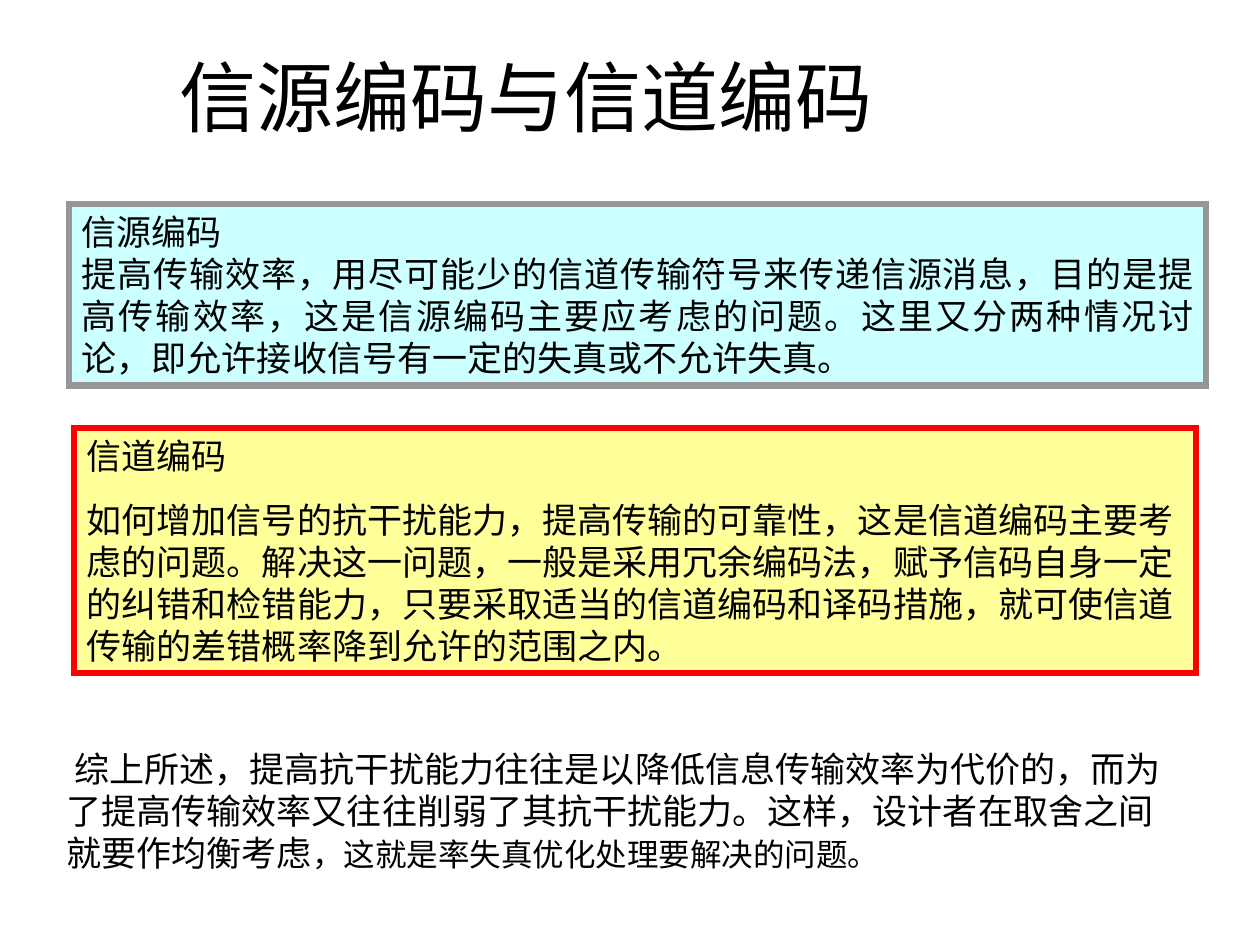
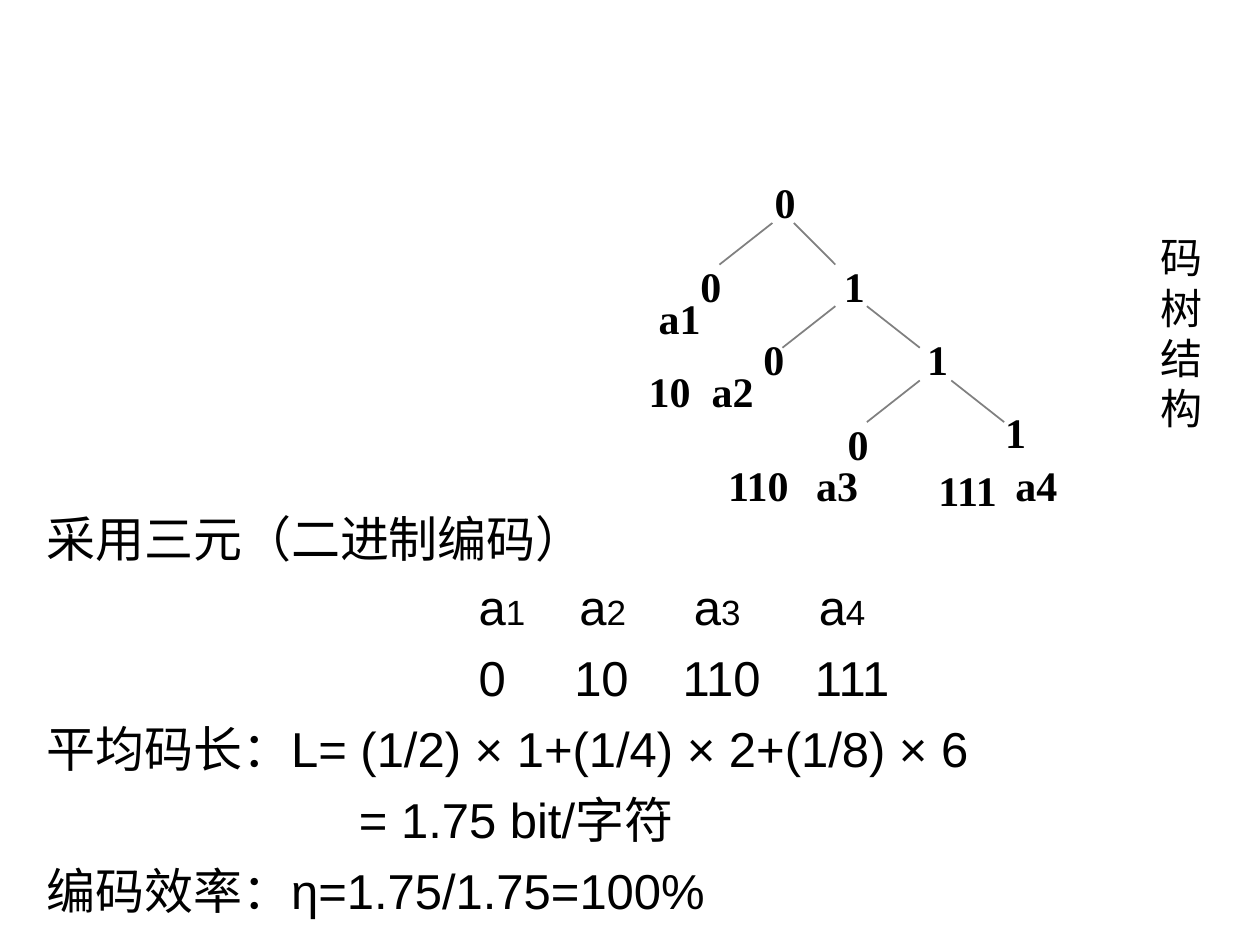
from dataclasses import dataclass
from typing import NamedTuple, Optional

from lxml import etree
from pptx import Presentation
from pptx import util as u
from pptx.dml.color import RGBColor
from pptx.enum import shapes, text
from pptx.oxml.ns import qn


@dataclass(frozen=True)
class Theme:
    ink: str = "000000"
    source_fill: str = "CCFFFF"
    source_line: str = "969696"
    channel_fill: str = "FFFF99"
    channel_line: str = "FF0000"
    branch: str = "808080"
    sans: str = "Arial"
    serif: str = "Times New Roman"
    chinese: str = "Noto Sans CJK SC"
    title: int = 44
    formula: int = 28
    label: int = 24
    body: int = 20
    small: int = 18
    border: float = 3.5
    hairline: float = 1


THEME = Theme()


class Run(NamedTuple):
    words: str
    size: float
    font: str = THEME.serif
    bold: bool = False


class Para(NamedTuple):
    runs: list[Run]
    before: float = 0
    align: Optional[text.PP_ALIGN] = None
    left: float = 0
    first: float = 0


class Box(NamedTuple):
    left: float
    top: float
    width: float
    height: float


class Panel(NamedTuple):
    box: Box
    fill: str
    line: str
    paras: list[Para]


class Label(NamedTuple):
    words: str
    left: float
    top: float


class Branch(NamedTuple):
    left: float
    top: float
    run: float


class Code(NamedTuple):
    word: str
    symbol_left: float
    word_left: float


def colour(value: str) -> RGBColor:
    return RGBColor.from_string(value)


def write(frame, paras: list[Para], wrap: bool = True) -> None:
    frame.word_wrap = wrap
    frame.vertical_anchor = text.MSO_ANCHOR.TOP
    for i, para in enumerate(paras):
        p = frame.paragraphs[0] if i == 0 else frame.add_paragraph()
        p.alignment = para.align or text.PP_ALIGN.LEFT
        p.space_before = u.Pt(para.before)
        props = p._p.get_or_add_pPr()
        props.set("marL", str(u.Inches(para.left)))
        props.set("indent", str(u.Inches(para.first)))
        props.set("hangingPunct", "0")
        for part in para.runs:
            run = p.add_run()
            run.text = part.words
            run.font.size = u.Pt(part.size)
            run.font.bold = part.bold
            run.font.name = part.font
            run.font.color.rgb = colour(THEME.ink)
            etree.SubElement(run._r.rPr, qn("a:ea"), typeface=THEME.chinese)


def add_text(slide, box: Box, paras: list[Para], wrap: bool = True):
    area = slide.shapes.add_textbox(*map(u.Inches, box))
    write(area.text_frame, paras, wrap)
    return area.text_frame


def add_panel(slide, panel: Panel) -> None:
    rect = slide.shapes.add_shape(
        shapes.MSO_SHAPE.RECTANGLE, *map(u.Inches, panel.box))
    rect.shadow.inherit = False
    rect.fill.solid()
    rect.fill.fore_color.rgb = colour(panel.fill)
    rect.line.color.rgb = colour(panel.line)
    rect.line.width = u.Pt(THEME.border)
    # Square corners on the border
    etree.SubElement(rect._element.spPr.find(qn("a:ln")), qn("a:miter"), lim="800000")
    write(rect.text_frame, panel.paras)


def add_label(slide, label: Label) -> None:
    width = 0.19 + 0.17 * len(label.words)
    add_text(slide, Box(label.left, label.top, width, 0.5),
             [Para([Run(label.words, THEME.label, bold=True)])], wrap=False)


def add_branch(slide, branch: Branch) -> None:
    ends = (branch.left, branch.top, branch.left + branch.run, branch.top + 0.33)
    line = slide.shapes.add_connector(
        shapes.MSO_CONNECTOR.STRAIGHT, *map(u.Inches, ends))
    line.line.color.rgb = colour(THEME.branch)
    line.line.width = u.Pt(THEME.hairline)
    etree.SubElement(line._element.spPr, qn("a:effectLst"))


# Source and channel coding
JUSTIFY = text.PP_ALIGN.JUSTIFY
PANELS = [
    Panel(Box(0.55, 1.62, 9.02, 1.44), THEME.source_fill, THEME.source_line, [
        Para([Run("信源编码", THEME.body)], align=JUSTIFY),
        Para([Run("提高传输效率，用尽可能少的信道传输符号来传递信源消息，"
                  "目的是提高传输效率，这是信源编码主要应考虑的问题。"
                  "这里又分两种情况讨论，即允许接收信号有一定的失真或不允许失真。",
                  THEME.body)], align=JUSTIFY),
    ]),
    Panel(Box(0.59, 3.4, 8.9, 1.94), THEME.channel_fill, THEME.channel_line, [
        Para([Run("信道编码", THEME.body, THEME.chinese)]),
        Para([Run("如何增加信号的抗干扰能力，提高传输的可靠性，这是信道编码主要考虑的问题。"
                  "解决这一问题，一般是采用冗余编码法，赋予信码自身一定的纠错和检错能力，"
                  "只要采取适当的信道编码和译码措施，就可使信道传输的差错概率降到允许的范围之内。",
                  THEME.body, THEME.chinese)], before=12.5),
    ]),
]
SUMMARY = Para([
    Run("综上所述，提高抗干扰能力往往是以降低信息传输效率为代价的，"
        "而为了提高传输效率又往往削弱了其抗干扰能力。"
        "这样，设计者在取舍之间就要作均衡考虑", THEME.body, THEME.chinese),
    Run("，这就是率失真优化处理要解决的问题。", THEME.small),
], first=0.06)


def build_comparison(slide) -> None:
    title = add_text(slide, Box(0.2, 0.21, 7.95, 1.1), [
        Para([Run("信源编码与信道编码", THEME.title, THEME.sans)],
             align=text.PP_ALIGN.CENTER)])
    title.vertical_anchor = text.MSO_ANCHOR.MIDDLE
    for panel in PANELS:
        add_panel(slide, panel)
    add_text(slide, Box(0.43, 5.88, 9.08, 1.1), [SUMMARY])


# Code tree
TREE_LABELS = [
    Label("0", 6.05, 1.35),
    Label("0", 5.46, 2.02), Label("1", 6.6, 2.02),
    Label("0", 5.96, 2.6), Label("1", 7.26, 2.6),
    Label("0", 6.63, 3.27), Label("1", 7.88, 3.18),
    Label("a1", 5.13, 2.27),
    Label("10", 5.05, 2.85), Label("a2", 5.55, 2.85),
    Label("110", 5.68, 3.6), Label("a3", 6.38, 3.6),
    Label("111", 7.35, 3.64), Label("a4", 7.96, 3.6),
]
BRANCHES = [
    Branch(6.13, 1.77, -0.42), Branch(6.3, 1.77, 0.33),
    Branch(6.63, 2.43, -0.42), Branch(6.88, 2.43, 0.42),
    Branch(7.3, 3.02, -0.42), Branch(7.55, 3.02, 0.42),
]

# Symbols above their codewords
CODES = [
    Code("0", 3.7, 3.7),
    Code("10", 4.5, 4.46),
    Code("110", 5.41, 5.32),
    Code("111", 6.4, 6.37),
]
SYMBOL_TOP, WORD_TOP = 4.53, 5.09


def formula(words: str, before: float = 0, left: float = 0) -> Para:
    return Para([Run(words, THEME.formula, THEME.sans)], before, left=left)


def add_code(slide, number: int, code: Code) -> None:
    symbol = Para([Run("a", THEME.formula, THEME.sans),
                   Run(str(number), THEME.body, THEME.sans)])
    for left, top, para in ((code.symbol_left, SYMBOL_TOP, symbol),
                            (code.word_left, WORD_TOP, formula(code.word))):
        add_text(slide, Box(left, top, 0.9, 0.57), [para])


def build_code_tree(slide) -> None:
    add_text(slide, Box(0.27, 3.99, 8.58, 0.57), [formula("采用三元（二进制编码）")])
    for number, code in enumerate(CODES, start=1):
        add_code(slide, number, code)
    add_text(slide, Box(0.27, 5.65, 8.58, 1.77), [
        formula("平均码长：L= (1/2) × 1+(1/4) × 2+(1/8) × 6"),
        formula("= 1.75 bit/字符", before=7, left=2.48),
        formula("编码效率：η=1.75/1.75=100%", before=7),
    ])
    for branch in BRANCHES:
        add_branch(slide, branch)
    for label in TREE_LABELS:
        add_label(slide, label)
    add_text(slide, Box(9.11, 1.79, 0.53, 1.7),
             [Para([Run(character, THEME.label)]) for character in "码树结构"],
             wrap=False)


def main() -> None:
    deck = Presentation()
    deck.slide_width, deck.slide_height = u.Inches(10), u.Inches(7.5)
    for build in (build_comparison, build_code_tree):
        build(deck.slides.add_slide(deck.slide_layouts[6]))
    deck.save("out.pptx")


if __name__ == "__main__":
    main()
